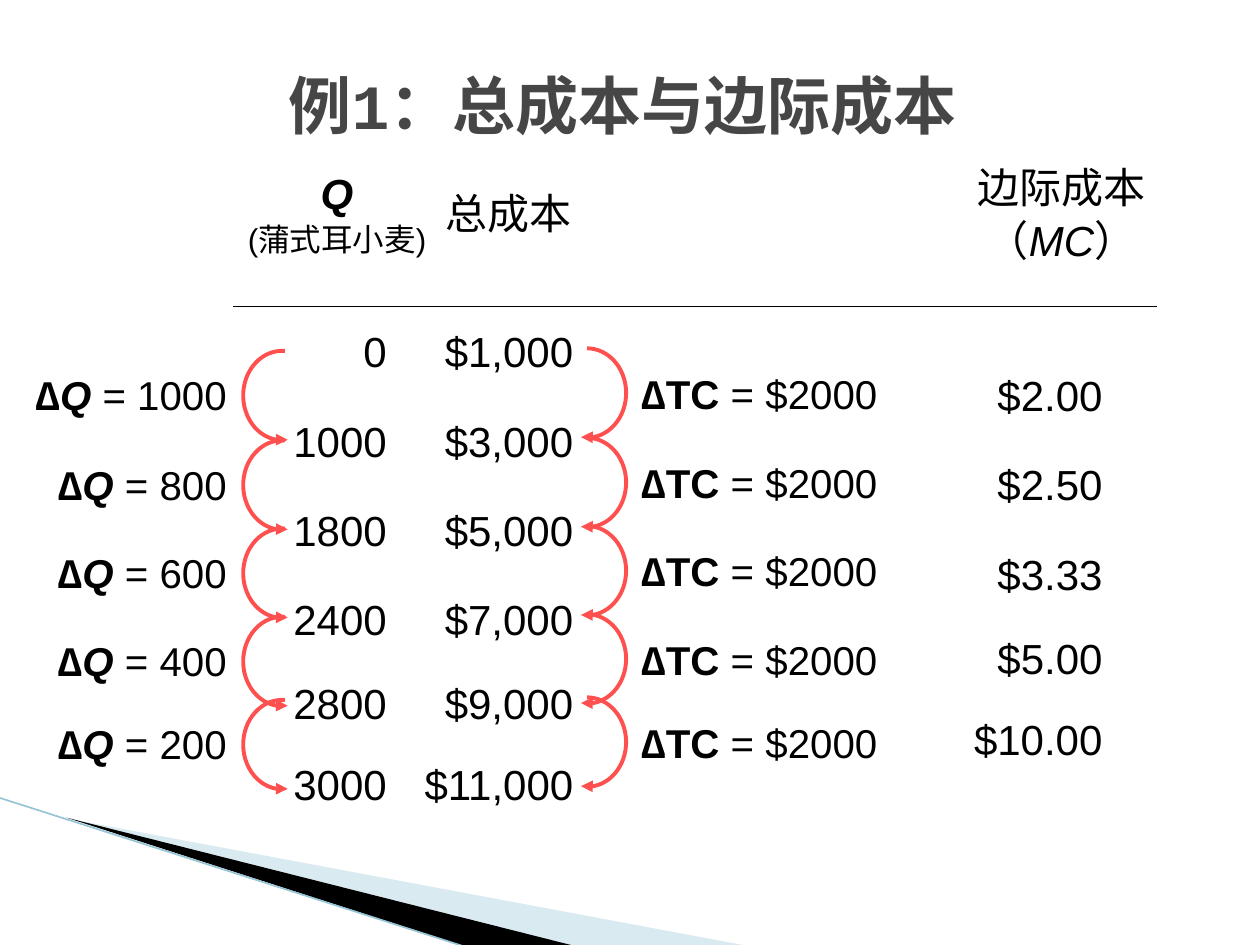
from math import cos, radians, sin

from lxml import etree
from pptx import Presentation
from pptx.dml.color import RGBColor
from pptx.enum.shapes import MSO_CONNECTOR
from pptx.enum.text import MSO_ANCHOR, MSO_AUTO_SIZE, PP_ALIGN
from pptx.oxml.ns import qn
from pptx.util import Inches, Pt

STRAIGHT = MSO_CONNECTOR.STRAIGHT
MIDDLE, TOP = MSO_ANCHOR.MIDDLE, MSO_ANCHOR.TOP
GROW = MSO_AUTO_SIZE.SHAPE_TO_FIT_TEXT
LEFT, CENTER, RIGHT = PP_ALIGN.LEFT, PP_ALIGN.CENTER, PP_ALIGN.RIGHT

BLACK = RGBColor(0x00, 0x00, 0x00)
GRAY = RGBColor(0x46, 0x46, 0x46)
RED = RGBColor(0xFF, 0x50, 0x50)
PALE_BLUE = RGBColor(0xA0, 0xCB, 0xDC)
EDGE_BLUE = RGBColor(0x97, 0xC5, 0xD8)

COST_EDGES = (2.4, 3.14, 3.84, 4.55, 5.25, 5.89, 6.53)
QUANTITIES = ("0", "1000", "1800", "2400", "2800", "3000")
TOTAL_COSTS = ("$1,000", "$3,000", "$5,000", "$7,000", "$9,000", "$11,000")
MARGINAL_EDGES = (2.77, 3.47, 4.19, 4.89, 5.53, 6.17)
MARGINAL_COSTS = ("$2.00", "$2.50", "$3.33", "$5.00", "$10.00")
STEPS = (
    (3.14, "1000", 1.75),
    (3.85, "800", 1.61),
    (4.55, "600", 1.56),
    (5.25, "400", 1.54),
    (5.91, "200", 1.55),
)


def write(paragraph, text, font="Arial", size=24, color=BLACK, bold=False, italic=False):
    run = paragraph.add_run()
    run.text = text
    run.font.name = font
    run.font.size = Pt(size)
    run.font.color.rgb = color
    run.font.bold = bold
    run.font.italic = italic


class CostSlide:
    def __init__(self, slide):
        self.slide = slide
        self.shapes = slide.shapes

    def title(self, text):
        title = self.shapes.title
        title.left, title.top = Inches(0.34), Inches(0.46)
        title.width, title.height = Inches(9.2), Inches(0.74)
        title.text_frame.vertical_anchor = MIDDLE
        paragraph = title.text_frame.paragraphs[0]
        paragraph.alignment = CENTER
        write(paragraph, text, font="Courier New", size=36, color=GRAY, bold=True)

    def text_box(self, left, top, width, height, align, anchor):
        box = self.shapes.add_textbox(Inches(left), Inches(top), Inches(width), Inches(height))
        frame = box.text_frame
        frame.word_wrap = True
        frame.vertical_anchor = anchor
        paragraph = frame.paragraphs[0]
        paragraph.alignment = align
        return frame, paragraph

    def cell(self, left, top, width, height, align=RIGHT, inset=0.2):
        frame, paragraph = self.text_box(left, top, width, height, align, MIDDLE)
        frame.margin_left, frame.margin_right = 0, Inches(inset)
        paragraph.line_spacing = 1.05
        return paragraph

    def heading(self, left, width):
        return self.cell(left, 0.96, width, 1.44, align=CENTER, inset=0)

    def column(self, left, width, edges, values, inset=0.2):
        for top, bottom, value in zip(edges, edges[1:], values):
            write(self.cell(left, top, width, bottom - top, inset=inset), value)

    def label(self, left, top, width, align):
        frame, paragraph = self.text_box(left, top, width, 0.48, align, TOP)
        frame.word_wrap = False
        frame.auto_size = GROW
        return paragraph

    def line(self, start, end, color, width):
        line = self.shapes.add_connector(STRAIGHT, *map(Inches, start + end))
        line.line.color.rgb = color
        line.line.width = Pt(width)
        etree.SubElement(line._element.spPr, qn("a:effectLst"))

    def outline(self, points, close):
        points = [(Inches(x), Inches(y)) for x, y in points]
        builder = self.shapes.build_freeform(*points[0])
        builder.add_line_segments(points[1:], close=close)
        shape = builder.convert_to_shape()
        shape.shadow.inherit = False
        return shape

    def wedge(self, points, color, alpha=100):
        wedge = self.outline(points, True)
        wedge.fill.solid()
        wedge.fill.fore_color.rgb = color
        wedge.line.fill.background()
        fill = wedge._element.spPr.find(qn("a:solidFill"))
        etree.SubElement(fill[0], qn("a:alpha"), val=str(alpha * 1000))

    def curved_arrow(self, center_x, center_y, side, first, last):
        angles = [radians(first + (last - first) * i / 32) for i in range(33)]
        arrow = self.outline(
            [(center_x + side * 0.31 * sin(a), center_y - 0.355 * cos(a)) for a in angles], False
        )
        arrow.fill.background()
        arrow.line.color.rgb = RED
        arrow.line.width = Pt(2.25)
        etree.SubElement(arrow.line._get_or_add_ln(), qn("a:tailEnd"), type="triangle")


def main():
    deck = Presentation()
    deck.slide_width, deck.slide_height = Inches(10), Inches(7.5)
    page = CostSlide(deck.slides.add_slide(deck.slide_layouts[5]))

    page.wedge([(0.55, 6.5), (5.95, 7.51), (4.56, 7.51)], PALE_BLUE, alpha=40)
    page.wedge([(0.53, 6.49), (4.57, 7.51), (3.72, 7.52)], BLACK)
    page.line((-0.01, 6.33), (3.71, 7.52), EDGE_BLUE, 0.95)
    page.title("例1：总成本与边际成本")

    quantity = page.heading(1.92, 1.51)
    write(quantity, "Q", bold=True, italic=True)
    quantity.add_line_break()
    write(quantity, "(蒲式耳小麦)", size=18)
    write(page.heading(3.32, 1.43), "总成本")
    marginal = page.heading(7.65, 1.55)
    write(marginal, "边际成本（")
    write(marginal, "MC", italic=True)
    write(marginal, "）")

    page.column(1.92, 1.4, COST_EDGES, QUANTITIES, inset=0.25)
    page.column(3.32, 1.43, COST_EDGES, TOTAL_COSTS)
    page.column(7.4, 1.55, MARGINAL_EDGES, MARGINAL_COSTS)
    page.line((1.85, 2.43), (9.18, 2.43), BLACK, 0.75)

    for center, change, width in STEPS:
        page.curved_arrow(2.24, center, -1, -4, 188)
        page.curved_arrow(4.66, center - 0.02, 1, 0, 189)
        quantity_change = page.label(1.9 - width, center - 0.25, width, RIGHT)
        write(quantity_change, "∆", size=23, bold=True)
        write(quantity_change, "Q", size=23, bold=True, italic=True)
        write(quantity_change, f" = {change}", size=23)
        cost_change = page.label(4.99, center - 0.26, 2.12, LEFT)
        write(cost_change, "∆TC", size=23, bold=True)
        write(cost_change, " = $2000", size=23)

    deck.save("out.pptx")


if __name__ == "__main__":
    main()
